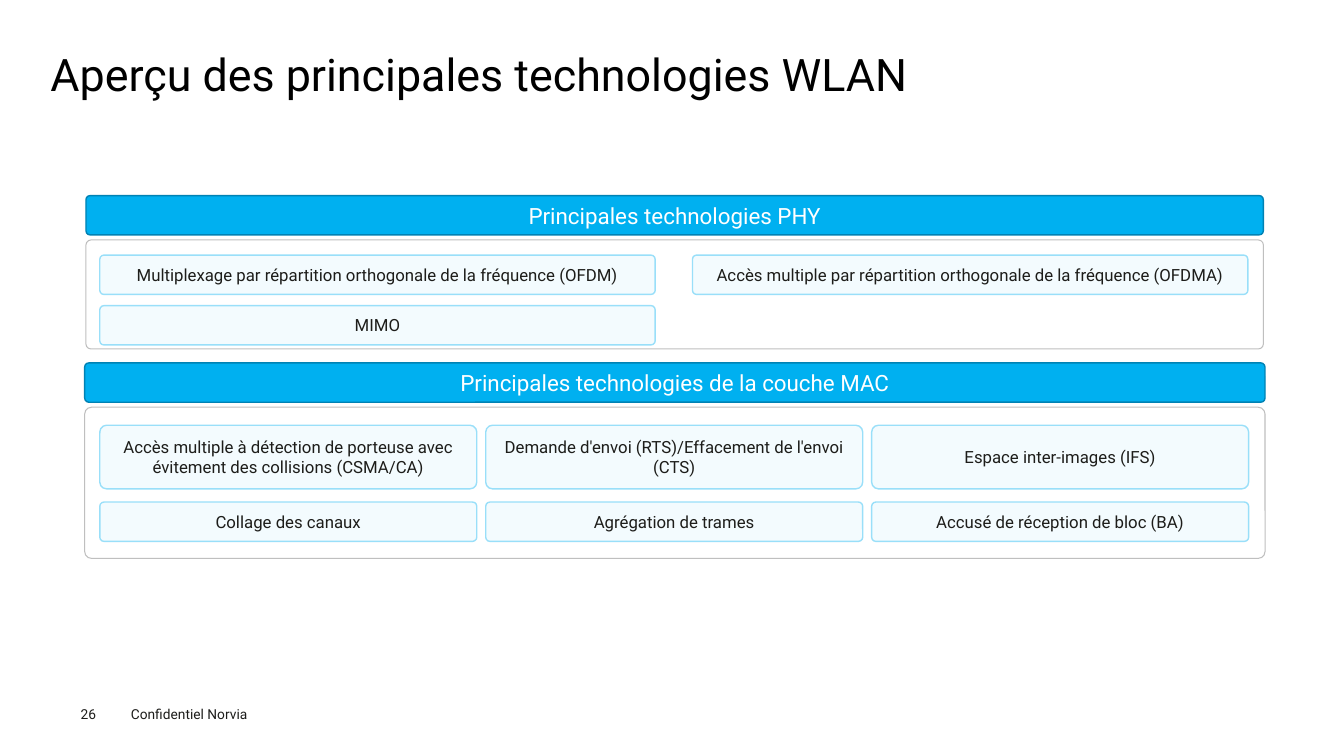
from pptx import Presentation
from pptx.dml.color import RGBColor
from pptx.enum.shapes import MSO_SHAPE
from pptx.enum.text import MSO_ANCHOR, MSO_AUTO_SIZE, PP_ALIGN
from pptx.util import Pt

FONT = "Roboto"
BAR = {"fill": "00B0F0", "line": "0082B4", "weight": 1, "radius": 0.106}
FRAME = {"fill": None, "line": "BFBFBF", "weight": 0.75, "radius": 0.045}
TILE = {"fill": "F3FBFE", "line": "99DFF9", "weight": 1, "radius": 0.106}
BAR_TEXT = {"size": 16, "color": "FFFFFF"}
TILE_TEXT = {"size": 12, "color": "1D1D1A"}
FOOTER_TEXT = {"size": 9.8, "color": "1D1D1B"}
BAR_H, BAR_GAP = 28.1, 3.6


def rgb(value):
    return RGBColor.from_string(value)


def write(sp, text, size, color, align=PP_ALIGN.LEFT,
          anchor=MSO_ANCHOR.TOP, inset=0):
    tf = sp.text_frame
    frame_format = {
        "word_wrap": True, "auto_size": MSO_AUTO_SIZE.NONE,
        "vertical_anchor": anchor,
        "margin_left": Pt(inset), "margin_right": Pt(inset),
        "margin_top": Pt(inset / 2), "margin_bottom": Pt(inset / 2),
    }
    for name, value in frame_format.items():
        setattr(tf, name, value)
    p = tf.paragraphs[0]
    p.alignment = align
    r = p.add_run()
    r.text = text
    for name, value in {"name": FONT, "size": Pt(size)}.items():
        setattr(r.font, name, value)
    r.font.color.rgb = rgb(color)
    return p


def add_box(s, box, style, text=None, text_format=None):
    sp = s.shapes.add_shape(MSO_SHAPE.ROUNDED_RECTANGLE, *map(Pt, box))
    sp.shadow.inherit = False
    sp.adjustments[0] = style["radius"]
    if style["fill"]:
        sp.fill.solid()
        sp.fill.fore_color.rgb = rgb(style["fill"])
    else:
        sp.fill.background()
    sp.line.color.rgb = rgb(style["line"])
    sp.line.width = Pt(style["weight"])
    if text:
        write(sp, text, **text_format, align=PP_ALIGN.CENTER,
              anchor=MSO_ANCHOR.MIDDLE)


def add_title(s, box, text):
    sp = s.shapes.title
    for name, value in zip(("left", "top", "width", "height"), box):
        setattr(sp, name, Pt(value))
    p = write(sp, text, 32, "000000", anchor=MSO_ANCHOR.MIDDLE)
    p.line_spacing = 0.9


def add_layer(s, box, heading, rows, pad, row_heights, col_gap, row_gap):
    """Heading bar, framed panel and a grid of technology tiles."""
    x, y, w, h = box
    panel_y = y + BAR_H + BAR_GAP
    add_box(s, (x, y, w, BAR_H), BAR, heading, BAR_TEXT)
    add_box(s, (x, panel_y, w, h - BAR_H - BAR_GAP), FRAME)

    # Tiles share the panel width equally
    left, top, right = pad
    cols = len(rows[0])
    tile_w = (w - left - right - (cols - 1) * col_gap) / cols
    tile_y = panel_y + top
    for row, tile_h in zip(rows, row_heights):
        for i, text in enumerate(row):
            tile_x = x + left + i * (tile_w + col_gap)
            add_box(s, (tile_x, tile_y, tile_w, tile_h), TILE, text, TILE_TEXT)
        tile_y += tile_h + row_gap


def add_footer(s, box, number, text):
    x, y, w, h = box
    page = s.shapes.add_textbox(Pt(x), Pt(y + 3.6), Pt(39.6), Pt(11.5))
    write(page, number, **FOOTER_TEXT)
    note = s.shapes.add_textbox(Pt(x + 28.8), Pt(y), Pt(w - 28.8), Pt(h))
    write(note, text, **FOOTER_TEXT, inset=7.2)


def main():
    prs = Presentation()
    prs.slide_width, prs.slide_height = Pt(960), Pt(540)
    s = prs.slides.add_slide(prs.slide_layouts[5])

    # Title
    add_title(s, (36, 35.3, 889.2, 38.9),
              "Aperçu des principales technologies WLAN")

    # Physical layer
    add_layer(s, (61.4, 139.7, 841, 109.5), "Principales technologies PHY", [
        ["Multiplexage par répartition orthogonale de la fréquence (OFDM)",
         "Accès multiple par répartition orthogonale de la fréquence (OFDMA)"],
        ["MIMO"],
    ], pad=(9.9, 10.8, 11), row_heights=(28.1, 28.1), col_gap=26.6, row_gap=8)

    # MAC layer
    add_layer(s, (60.5, 259.2, 843.1, 139.7),
              "Principales technologies de la couche MAC", [
        ["Accès multiple à détection de porteuse avec évitement des "
         "collisions (CSMA/CA)",
         "Demande d'envoi (RTS)/Effacement de l'envoi (CTS)",
         "Espace inter-images (IFS)"],
        ["Collage des canaux", "Agrégation de trames",
         "Accusé de réception de bloc (BA)"],
    ], pad=(10.8, 12.9, 11.7), row_heights=(45.4, 28.1), col_gap=6.4,
        row_gap=9.4)

    # Footer
    add_footer(s, (57.6, 500.4, 144, 19.4), "26", "Confidentiel Norvia")
    prs.save("out.pptx")


if __name__ == "__main__":
    main()
